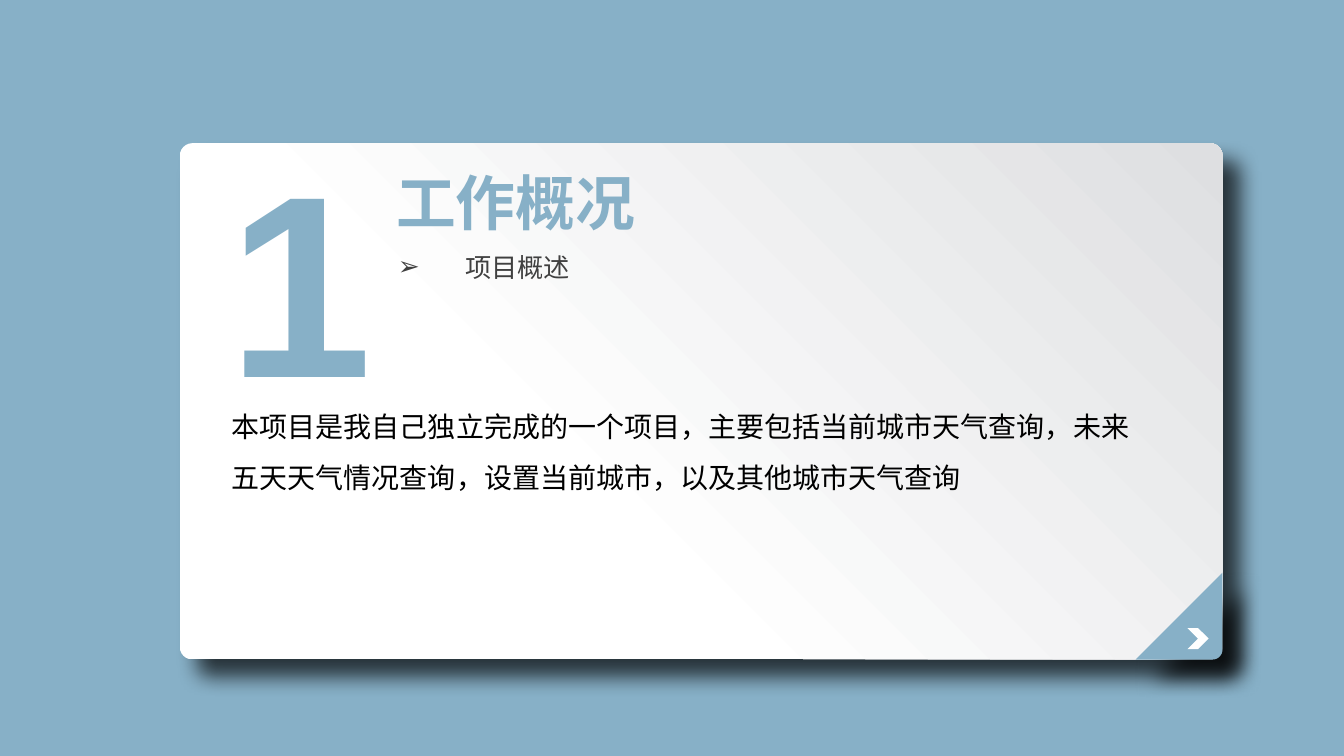
import math

import pptx
import pptx.dml.color
import pptx.enum.shapes
import pptx.enum.text
import pptx.oxml
import pptx.oxml.ns
import pptx.util
from lxml import etree

Pt = pptx.util.Pt
RGBColor = pptx.dml.color.RGBColor
SHAPES = pptx.enum.shapes.MSO_SHAPE

BLUE = RGBColor(0x87, 0xB0, 0xC7)
WHITE = RGBColor(0xFF, 0xFF, 0xFF)
SILVER = RGBColor(0xDE, 0xDF, 0xE1)
GRAY = RGBColor(0x40, 0x40, 0x40)
BLACK = RGBColor(0, 0, 0)
LATIN = "Arial"
CHINESE = "Noto Sans CJK SC"


def child(parent, tag, **attributes):
    """Append a DrawingML element."""
    element = etree.SubElement(parent, pptx.oxml.ns.qn("a:" + tag))
    for name, value in attributes.items():
        element.set(name, str(value))
    return element


class SlideBuilder:
    def __init__(self, page):
        self.page = page
        page.background.fill.solid()
        page.background.fill.fore_color.rgb = BLUE

    def finish(self, shape, color):
        shape.shadow.inherit = False
        shape.line.fill.background()
        shape.fill.solid()
        shape.fill.fore_color.rgb = color
        return shape

    def shape(self, kind, left, top, width, height, color):
        shape = self.page.shapes.add_shape(
            kind, Pt(left), Pt(top), Pt(width), Pt(height))
        return self.finish(shape, color)

    def outline(self, points, color):
        points = [(Pt(x), Pt(y)) for x, y in points]
        builder = self.page.shapes.build_freeform(*points[0], scale=1.0)
        builder.add_line_segments(points[1:], close=True)
        return self.finish(builder.convert_to_shape(), color)

    def cast_shadow(self, shape):
        effects = shape._element.spPr.find(pptx.oxml.ns.qn("a:effectLst"))
        shadow = child(effects, "outerShdw", blurRad=Pt(15), dist=Pt(18),
                       dir=45 * 60000, algn="tl", rotWithShape=0)
        child(child(shadow, "srgbClr", val=BLACK), "alpha", val=70000)

    def radial_fill(self, shape, inner, outer, reach):
        """Shade from the top right corner outwards."""
        shape.fill.gradient()
        gradient = shape._element.spPr.find(pptx.oxml.ns.qn("a:gradFill"))
        for part in list(gradient):
            gradient.remove(part)
        stops = child(gradient, "gsLst")
        for position, color in ((0, inner), (reach, outer)):
            child(child(stops, "gs", pos=position * 1000), "srgbClr", val=color)
        focus = child(gradient, "path", path="circle")
        child(focus, "fillToRect", l=100000, b=100000)

    def text(self, box, content, size, font, color, bold=False, wrap=False):
        frame = box.text_frame
        frame.word_wrap = wrap
        frame.auto_size = pptx.enum.text.MSO_AUTO_SIZE.SHAPE_TO_FIT_TEXT
        frame.vertical_anchor = pptx.enum.text.MSO_ANCHOR.TOP
        para = frame.paragraphs[0]
        para.alignment = pptx.enum.text.PP_ALIGN.LEFT
        span = para.add_run()
        span.text = content
        span.font.size = Pt(size)
        span.font.bold = bold
        span.font.color.rgb = color
        span.font.name = font
        child(span.font._element, "ea", typeface=font)
        return para

    def box(self, left, top, width, height, *content, **style):
        box = self.page.shapes.add_textbox(
            Pt(left), Pt(top), Pt(width), Pt(height))
        return self.text(box, *content, **style)

    def title(self, left, top, width, height, *content, **style):
        box = self.page.shapes.title
        box.left, box.top = Pt(left), Pt(top)
        box.width, box.height = Pt(width), Pt(height)
        # Bring the title in front of the shapes drawn so far
        self.page.shapes._spTree.append(box._element)
        return self.text(box, *content, **style)

    def bullet(self, para, mark, indent):
        properties = para._p.get_or_add_pPr()
        properties.set("marL", str(Pt(indent)))
        properties.set("indent", str(-Pt(indent)))
        child(properties, "buFont", typeface=LATIN)
        child(properties, "buChar", char=mark)


def main():
    deck = pptx.Presentation()
    deck.slide_width, deck.slide_height = Pt(960), Pt(540)
    slide = SlideBuilder(deck.slides.add_slide(deck.slide_layouts[5]))

    # Card
    left, top, width, height = 128.4, 102.3, 744.8, 368.8
    right, bottom = left + width, top + height
    card = slide.shape(SHAPES.ROUNDED_RECTANGLE, left, top, width, height, WHITE)
    card.adjustments[0] = 9 / height
    slide.radial_fill(card, SILVER, WHITE, 64)
    slide.cast_shadow(card)

    # Folded corner with a rounded tip
    radius, fold = 7, 62
    angles = [math.radians(step * 10) for step in range(10)]
    tip = [(right - radius + radius * math.cos(angle),
            bottom - radius + radius * math.sin(angle)) for angle in angles]
    corner = slide.outline(
        [(right - fold, bottom), (right, bottom - fold)] + tip, BLUE)
    slide.cast_shadow(corner)

    # Heading
    slide.box(156.2, 81.4, 118, 231, "1", 185, LATIN, BLUE, bold=True)
    slide.title(275.8, 114.5, 186.5, 59, "工作概况", 42.7, CHINESE, BLUE, bold=True)
    topic = slide.box(277.2, 175.7, 138.2, 30.2, "项目概述", 18.7, CHINESE, GRAY)
    slide.bullet(topic, "➢", 48)

    # Description
    body = slide.box(
        158.4, 277.2, 661, 75.6,
        "本项目是我自己独立完成的一个项目，主要包括当前城市天气查询，"
        "未来五天天气情况查询，设置当前城市，以及其他城市天气查询",
        20, CHINESE, BLACK, wrap=True)
    body.line_spacing = 1.5

    # Arrow in the corner
    slide.shape(SHAPES.CHEVRON, 848.2, 448.6, 15.1, 15.1, WHITE)

    deck.save("out.pptx")


if __name__ == "__main__":
    main()
